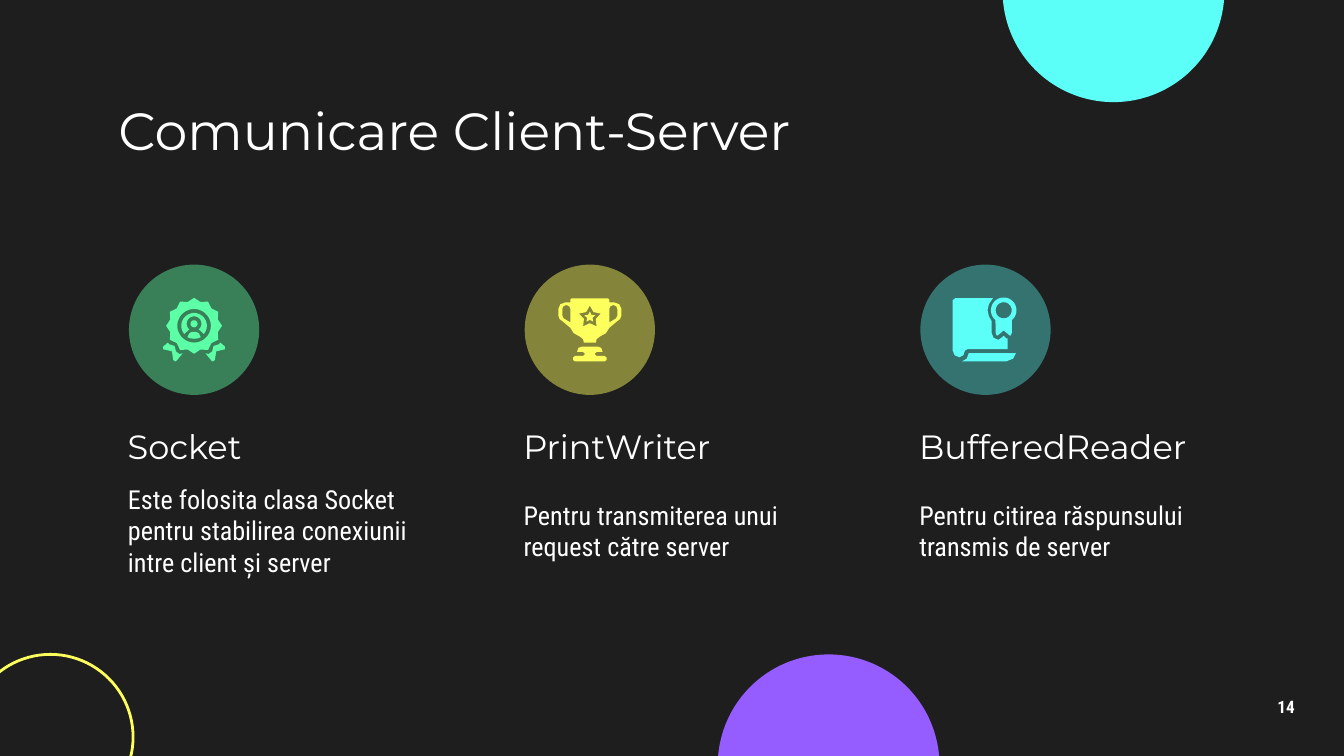
"""Build the client-server slide with three icon columns."""
import math

import lxml.etree
import pptx
import pptx.dml.color
import pptx.enum.shapes
import pptx.enum.text
import pptx.oxml.ns
import pptx.util

Pt = pptx.util.Pt
ALIGN = pptx.enum.text.PP_ALIGN
HUES = {"back": "1E1E1E", "text": "FFFFFF", "cyan": "5CFFF8",
        "yellow": "FDFF5C", "purple": "955CFF", "green": "5CFFA6"}
HEAD, BODY = "Montserrat", "Roboto Condensed"


def hue(name):
    return pptx.dml.color.RGBColor.from_string(HUES[name])


def arc(x, y, size, start=0, end=360, count=48):
    turns = [math.radians(start + (end - start) * i / count) for i in range(count + 1)]
    return [(x + size * math.cos(t), y + size * math.sin(t)) for t in turns]


def star(x, y, tips, outer, inner):
    points = []
    for i in range(2 * tips):
        turn = math.pi * i / tips - math.pi / 2
        size = inner if i % 2 else outer
        points.append((x + size * math.cos(turn), y + size * math.sin(turn)))
    return points


def flip(points):
    return [(-x, y) for x, y in reversed(points)]


def whole(half):
    return half + flip(half)


def medal():
    tail = [(-19.5, 9.5), (-23, 12.5), (-23, 14.5), (-16.5, 16), (-15.5, 22.5),
            (-14, 23.5), (-13, 23), (-8.5, 17.5), (-11, 18), (-13.5, 16),
            (-14.5, 12), (-18.5, 10.8)]
    arch = arc(0, -3, 9.5, 140, 400) + arc(0, -4.5, 5.5, 410, 130)
    chest = [(-5, 5.5), (-3.5, 2.5), (-1.5, 1.5)]
    base = [(3, 6.3), (0, 6.7), (-3, 6.3)]
    return [star(0, -3, 12, 20.8, 18.3), arc(0, -3, 12.5), arch,
            arc(0, -4.5, 2.6), whole(chest) + base, tail, flip(tail)]


def cup():
    bowl = [(-13.5, -23.5), (-14.5, -22.5), (-14.5, -20.5), (-18, -20.5),
            (-22, -19), (-23.5, -15.5), (-23.5, -10.5), (-22.5, -8),
            (-20.5, -6.5), (-14.5, -1.5), (-12, 2.5), (-7.5, 5), (-5, 7),
            (-4.5, 9.5)]
    grip = [(-17.5, -18.5), (-15.3, -17.5), (-14.5, -15.5), (-14.5, -5.5),
            (-19.5, -8.5), (-20.5, -10.5), (-20.5, -15.5), (-19.7, -17.5)]
    foot = [(-6, 12.5), (-8.5, 13.5), (-9.5, 16.5), (-5, 16.5), (-3.5, 18),
            (-5, 19.5), (-11, 19.5), (-12.5, 20.7), (-12.5, 22.5), (-11, 23.5)]
    return [whole(bowl), grip, flip(grip), star(0, -9.5, 5, 8.5, 4.6),
            star(0, -9.5, 5, 4.2, 2.1), whole(foot)]


def scroll():
    seal = arc(13.5, -14.5, 9.5, 130, 410) + [
        (19.5, 2.5), (18.5, 4.5), (17, 3.5), (13.5, 0.5), (10, 3.5),
        (8.5, 4.5), (7.5, 2.5)]
    page = [(-22.5, -23.5), (5.5, -23.5), (2.5, -19), (1.5, -14.5),
            (2.5, -10), (4.5, -6.5), (4.5, 2.5), (6, 6), (9.5, 7.5),
            (12.5, 5.5), (13.5, 4.5), (15.5, 6.5), (16.5, 6.5),
            (16.5, 14.5), (-13.5, 14.5), (-15.3, 15.5), (-16.5, 19),
            (-19.5, 20.5), (-23, 19), (-24.5, 15.5), (-24.5, -22)]
    roll = [(-12.5, 17.5), (22.5, 17.5), (20.5, 21.5), (15.5, 23.5),
            (-17.5, 23.5), (-14, 21.5)]
    return [seal, arc(13.5, -14.5, 6), page, roll]


class Deck:
    """Hold the style and the current slide."""

    def __init__(self):
        self.show = pptx.Presentation()
        self.show.slide_width, self.show.slide_height = Pt(720), Pt(405)
        self.slide = self.show.slides.add_slide(self.show.slide_layouts[4])
        self.slide.background.fill.solid()
        self.slide.background.fill.fore_color.rgb = hue("back")

    def disc(self, x, y, size, fill=None, line=None, alpha=None):
        kind = pptx.enum.shapes.MSO_SHAPE.OVAL
        shape = self.slide.shapes.add_shape(kind, Pt(x), Pt(y), Pt(size), Pt(size))
        self.paint(shape, fill, line)
        if alpha:
            tint = shape.element.xpath(".//p:spPr//a:srgbClr")[0]
            node = lxml.etree.SubElement(tint, pptx.oxml.ns.qn("a:alpha"))
            node.set("val", str(alpha * 1000))

    def paint(self, shape, fill, line=None):
        shape.shadow.inherit = False
        if fill:
            shape.fill.solid()
            shape.fill.fore_color.rgb = hue(fill)
        else:
            shape.fill.background()
        if line:
            shape.line.color.rgb = hue(line)
            shape.line.width = Pt(1.5)
        else:
            shape.line.fill.background()

    def icon(self, x, y, rings, fill):
        rings = [[(10 * a, 10 * b) for a, b in ring] for ring in rings]
        pen = self.slide.shapes.build_freeform(*rings[0][0], scale=Pt(0.072))
        pen.add_line_segments(rings[0][1:])
        for ring in rings[1:]:
            pen.move_to(*ring[0])
            pen.add_line_segments(ring[1:])
        self.paint(pen.convert_to_shape(Pt(x), Pt(y)), fill)

    def holder(self, slot, words, box, font, size):
        self.style(self.slide.placeholders[slot], words, box, font, size)

    def label(self, words, box, font, size, **more):
        shape = self.slide.shapes.add_textbox(*map(Pt, box))
        self.style(shape, words, box, font, size, **more)

    def style(self, shape, words, box, font, size, bold=False, align=ALIGN.LEFT, space=1):
        shape.left, shape.top, shape.width, shape.height = map(Pt, box)
        frame = shape.text_frame
        frame.text = words
        frame.word_wrap = True
        frame.auto_size = pptx.enum.text.MSO_AUTO_SIZE.NONE
        frame.vertical_anchor = pptx.enum.text.MSO_ANCHOR.MIDDLE
        frame.margin_left = frame.margin_right = Pt(7.2)
        frame.margin_top = frame.margin_bottom = Pt(7.2)
        for part in frame.paragraphs:
            part.alignment = align
            part.line_spacing = space
            part.space_before = Pt(0)
            props = part._p.get_or_add_pPr()
            props.set("marL", "0")
            props.set("indent", "0")
            lxml.etree.SubElement(props, pptx.oxml.ns.qn("a:buNone"))
            for run in part.runs:
                run.font.name, run.font.size, run.font.bold = font, Pt(size), bold
                run.font.color.rgb = hue("text")

    def save(self):
        for shape in list(self.slide.placeholders):
            if not shape.text_frame.text:
                shape.element.getparent().remove(shape.element)
        self.show.save("out.pptx")


def main():
    deck = Deck()
    deck.disc(537.1, -64.1, 118.8, fill="cyan")
    deck.disc(-17.3, 350.6, 88.6, line="yellow")
    deck.disc(384.5, 350.6, 118.8, fill="purple")
    deck.label("14", (667.4, 367.2, 43.2, 24.5), BODY, 9.2,
               bold=True, align=ALIGN.CENTER, space=0.9)
    deck.holder(0, "Comunicare Client-Server", (56.2, 51.1, 607.7, 36.7), HEAD, 28)
    items = [
        ("Socket", "Este folosita clasa Socket pentru stabilirea conexiunii "
         "intre client și server", "green", 44, medal()),
        ("PrintWriter", "Pentru transmiterea unui request către server",
         "yellow", 46, cup()),
        ("BufferedReader", "Pentru citirea răspunsului transmis de server",
         "cyan", 38, scroll()),
    ]
    for i, (name, words, tone, alpha, rings) in enumerate(items):
        left = 61.3 + 212 * i
        deck.label(name, (left, 221, 172.8, 36), HEAD, 18)
        deck.holder(i + 1, words, (left, 257.8, 172.8, 52.6), BODY, 14)
        deck.disc(left + 7.8, 141.8, 69.8, fill=tone, alpha=alpha)
        deck.icon(left + 42.7, 176.7, rings, tone)
    deck.save()


if __name__ == "__main__":
    main()
